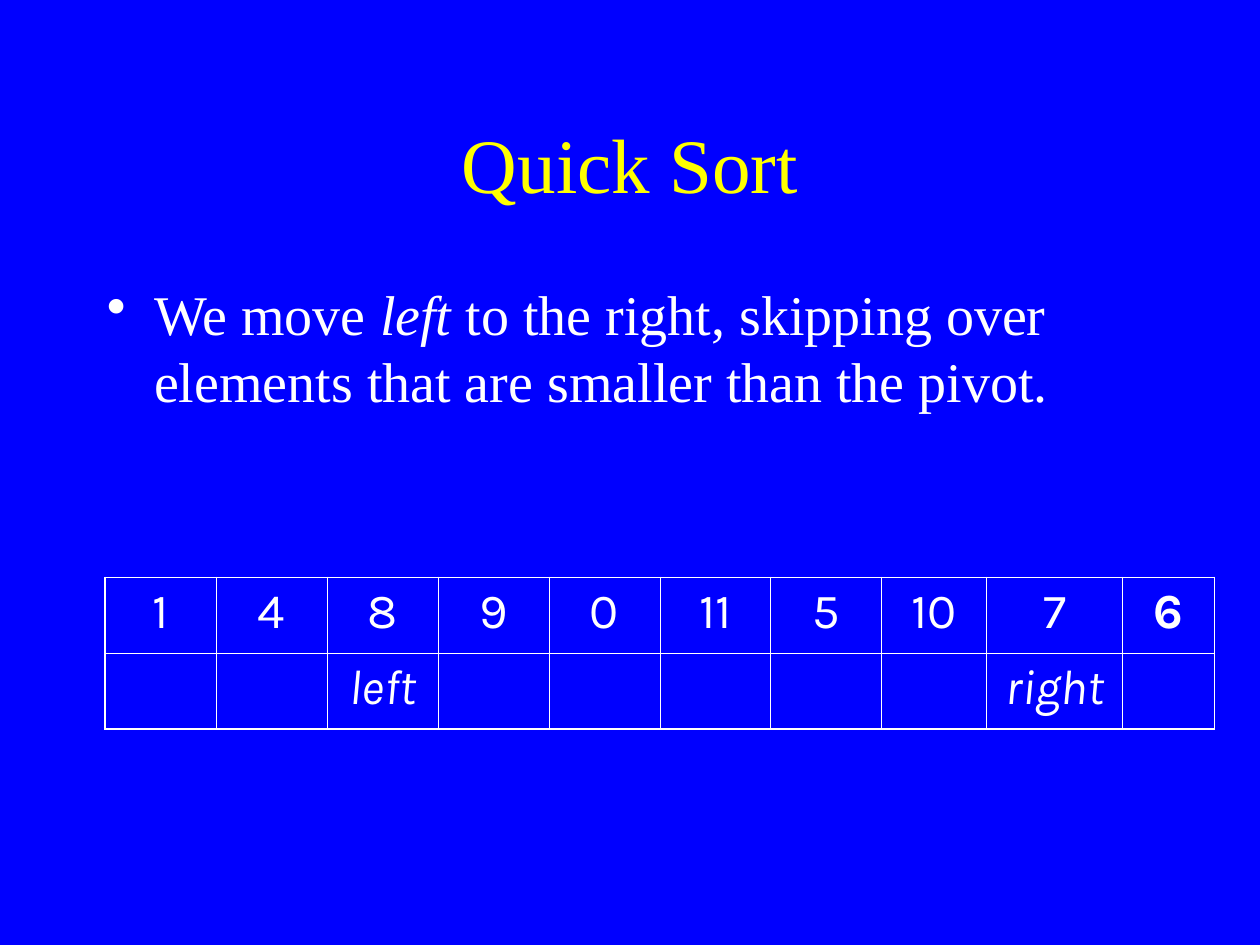
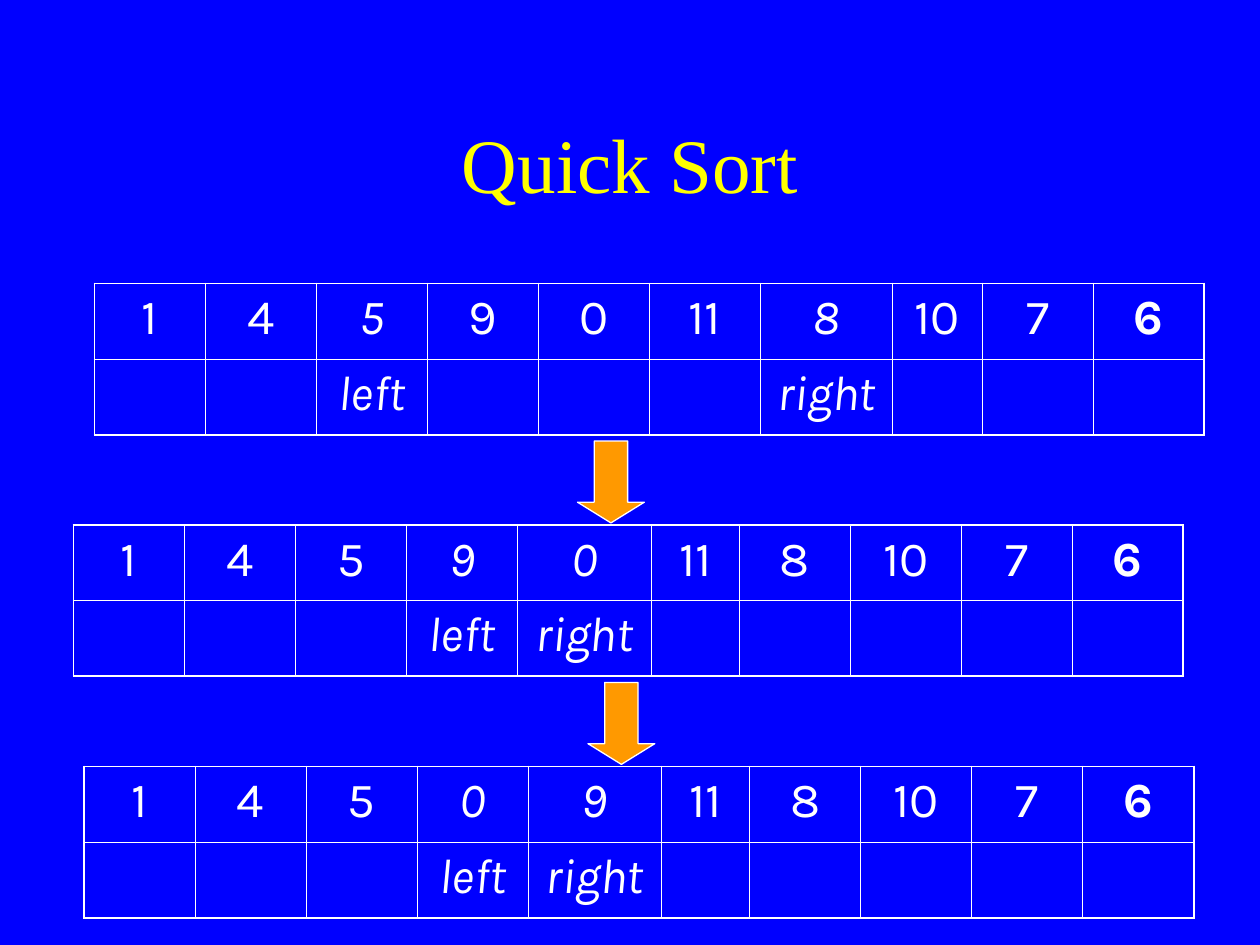
from lxml import etree
from pptx import Presentation
from pptx.dml.color import RGBColor
from pptx.enum.shapes import MSO_SHAPE
from pptx.enum.text import MSO_ANCHOR as Anchor, PP_ALIGN as Align
from pptx.oxml.ns import qn
from pptx.util import Pt

BLUE, WHITE, YELLOW, ORANGE = "0000FF", "FFFFFF", "FFFF00", "FF9900"
SERIF, SANS = "Times New Roman", "Karla"
COLUMN_WIDTH, ROW_HEIGHT = 63.43, 43.2
OUTER_LINE, INNER_LINE = 1.08, 0.45
TABLE_PITCH, ARROW_GAP = 138, 3.6


def color(hex_code):
    return RGBColor.from_string(hex_code)


def add_bullet(para, indent):
    properties = para._p.get_or_add_pPr()
    properties.set("marL", str(Pt(indent)))
    properties.set("indent", str(-Pt(indent)))
    bullet_color = etree.SubElement(properties, qn("a:buClr"))
    etree.SubElement(bullet_color, qn("a:srgbClr"), val=WHITE)
    etree.SubElement(properties, qn("a:buChar"), char="•")


def write(frame, text, font=SERIF, size=32, fill=WHITE, bold=False, italic=False,
          align=Align.LEFT, bullet_indent=0):
    """Fill the frame's first paragraph; text is a string or (string, italic) spans."""
    para = frame.paragraphs[0]
    if bullet_indent:
        add_bullet(para, bullet_indent)
    para.alignment = align
    spans = [(text, italic)] if isinstance(text, str) else text
    for words, slanted in spans:
        span = para.add_run()
        span.text = words
        span.font.name, span.font.size = font, Pt(size)
        span.font.bold, span.font.italic = bold, slanted
        span.font.color.rgb = color(fill)


def add_text(page, box, text, anchor=Anchor.TOP, **text_format):
    frame = page.shapes.add_textbox(*map(Pt, box)).text_frame
    frame.word_wrap = True
    frame.vertical_anchor = anchor
    write(frame, text, **text_format)


def add_page(deck):
    """Add a blue page with the shared title."""
    page = deck.slides.add_slide(deck.slide_layouts[6])
    page.background.fill.solid()
    page.background.fill.fore_color.rgb = color(BLUE)
    add_text(page, (54, 48, 612, 90), "Quick Sort", Anchor.MIDDLE,
             size=44, fill=YELLOW, align=Align.CENTER)
    return page


def set_borders(cell, widths):
    properties = cell._tc.get_or_add_tcPr()
    for position, (side, width) in enumerate(widths.items()):
        line = etree.Element(qn(f"a:{side}"), w=str(Pt(width)))
        fill = etree.SubElement(line, qn("a:solidFill"))
        etree.SubElement(fill, qn("a:srgbClr"), val=WHITE)
        properties.insert(position, line)


def add_array(page, left, top, values, markers, special_widths, italic_marked=True):
    """Draw the array over a row of markers; the last value, the pivot, is bold."""
    last = len(values) - 1
    widths = [special_widths.get(index, COLUMN_WIDTH) for index in range(len(values))]
    table = page.shapes.add_table(2, len(values), Pt(left), Pt(top),
                                  Pt(sum(widths)), Pt(2 * ROW_HEIGHT)).table
    table.first_row = table.horz_banding = False
    for row in table.rows:
        row.height = Pt(ROW_HEIGHT)
    for index, (value, width) in enumerate(zip(values, widths)):
        table.columns[index].width = Pt(width)
        marker = markers.get(index, "")
        for row_index, text in enumerate((str(value), marker)):
            cell = table.cell(row_index, index)
            cell.fill.background()
            edges = {"lnL": index == 0, "lnR": index == last,
                     "lnT": row_index == 0, "lnB": row_index == 1}
            set_borders(cell, {side: OUTER_LINE if outer else INNER_LINE
                               for side, outer in edges.items()})
            if text:
                italic = bool(marker) and (row_index == 1 or italic_marked)
                write(cell.text_frame, text, font=SANS, size=28, italic=italic,
                      bold=index == last, align=Align.CENTER)


def add_down_arrow(page, left, top):
    arrow = page.shapes.add_shape(MSO_SHAPE.DOWN_ARROW, Pt(left), Pt(top), Pt(38.2), Pt(46.8))
    arrow.adjustments[1] = 0.31
    arrow.shadow.inherit = False
    arrow.fill.solid()
    arrow.fill.fore_color.rgb = color(ORANGE)
    arrow.line.color.rgb = color(WHITE)
    arrow.line.width = Pt(0.75)


def build_move_page(deck):
    page = add_page(deck)
    sentence = [("We move ", False), ("left", True),
                (" to the right, skipping over elements that are smaller than the pivot.", False)]
    add_text(page, (54, 156, 612, 324), sentence, bullet_indent=27)
    add_array(page, 60, 330, [1, 4, 8, 9, 0, 11, 5, 10, 7, 6], {2: "left", 8: "right"},
              {7: 60, 8: 77.7, 9: 52.4}, italic_marked=False)


def build_swap_page(deck):
    page = add_page(deck)
    steps = [
        (54, [1, 4, 5, 9, 0, 11, 8, 10, 7, 6], 2, 6, 75.4),
        (42, [1, 4, 5, 9, 0, 11, 8, 10, 7, 6], 3, 4, 76.4),
        (48, [1, 4, 5, 0, 9, 11, 8, 10, 7, 6], 3, 4, 76.2),
    ]
    for number, (left, values, low, high, wide) in enumerate(steps):
        narrow = 2 * COLUMN_WIDTH - wide
        add_array(page, left, 162 + number * TABLE_PITCH, values,
                  {low: "left", high: "right"}, {high: wide, high + 1: narrow})
    for number, left in enumerate((330, 336)):
        table_bottom = 162 + number * TABLE_PITCH + 2 * ROW_HEIGHT
        add_down_arrow(page, left, table_bottom + ARROW_GAP)


def main():
    deck = Presentation()
    deck.slide_width, deck.slide_height = Pt(720), Pt(540)
    build_move_page(deck)
    build_swap_page(deck)
    deck.save("out.pptx")


if __name__ == "__main__":
    main()
